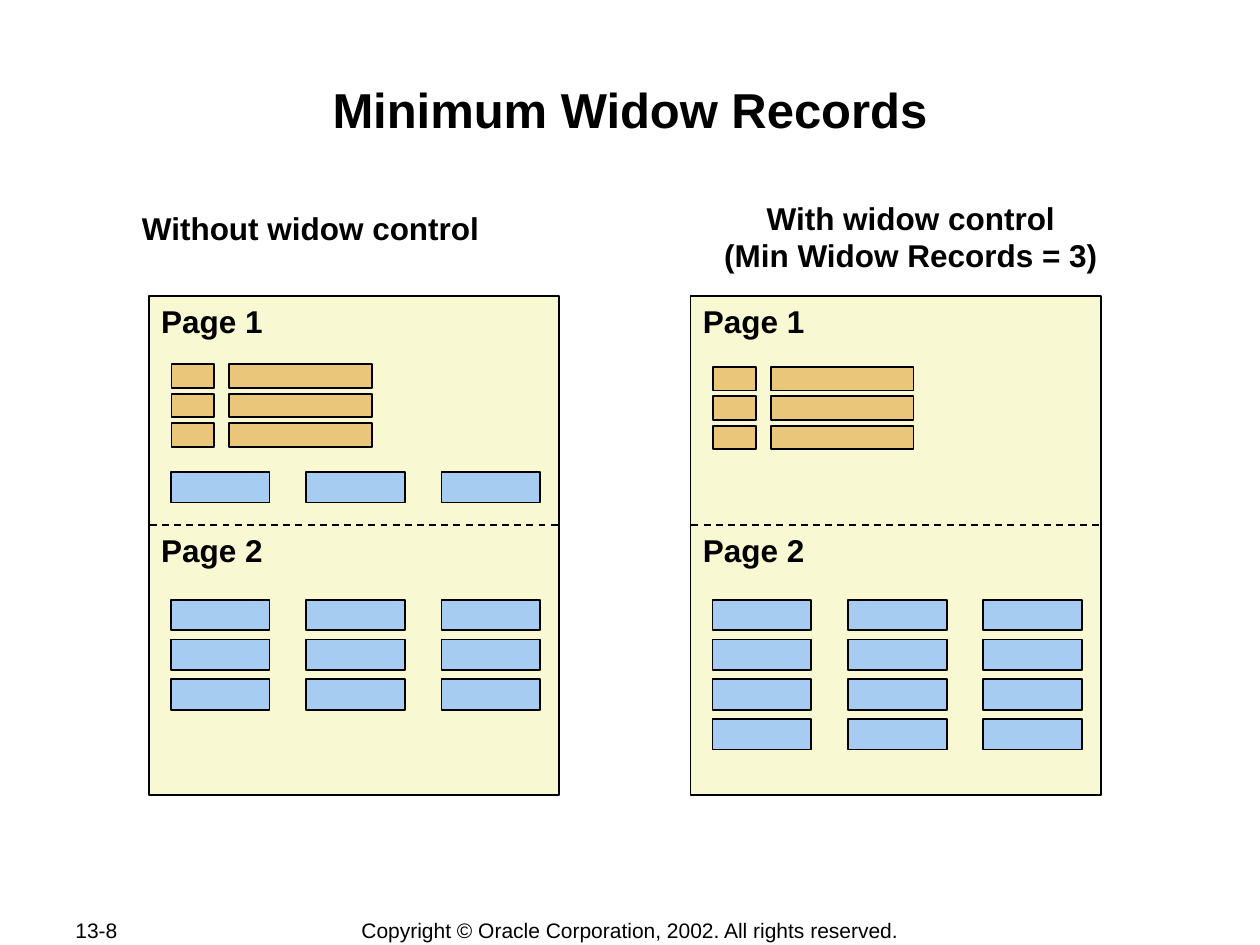
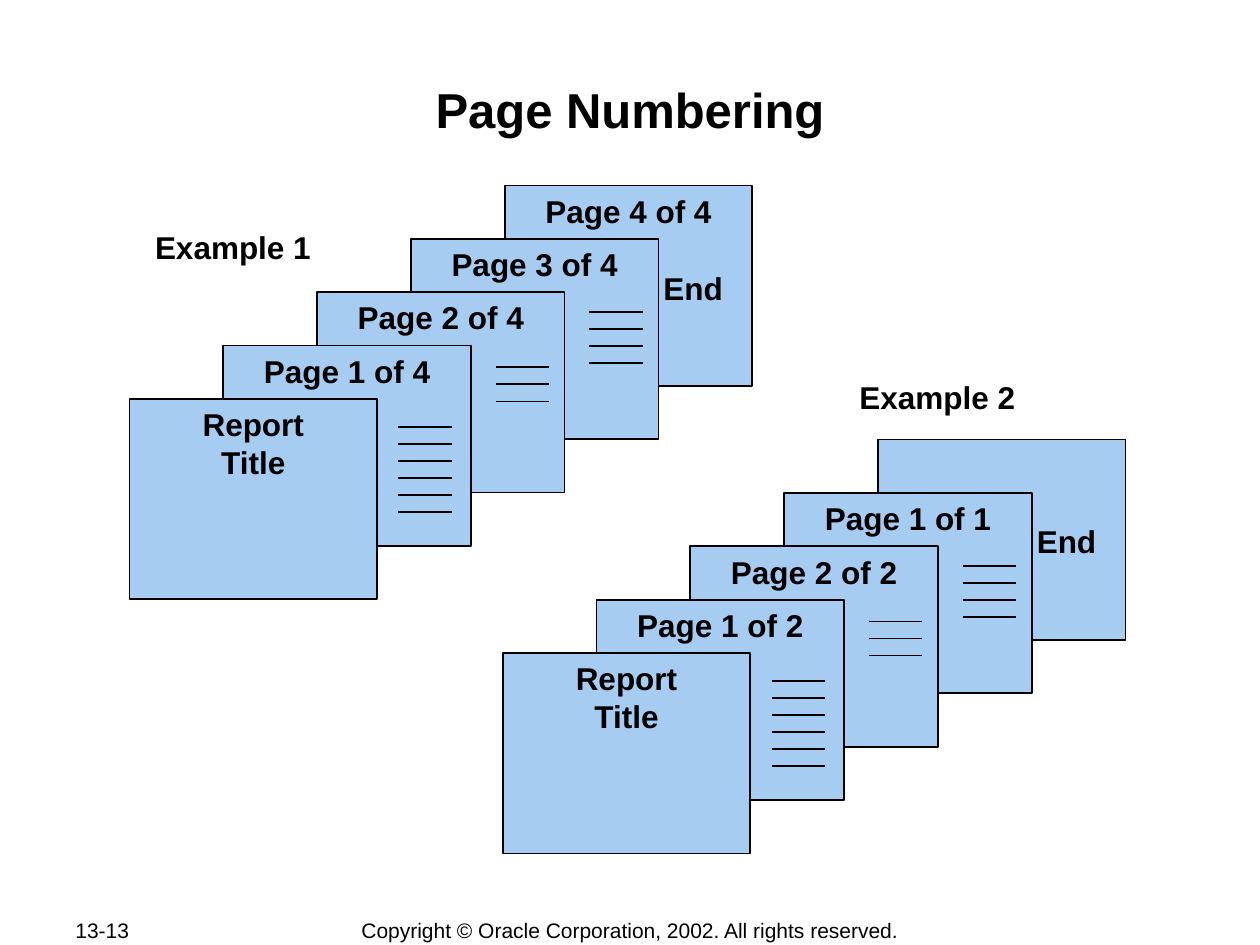
"""Builds two slides on report pagination: widow records and page numbering."""
import pptx
import pptx.dml.color
import pptx.enum.dml
import pptx.enum.shapes
import pptx.enum.text
import pptx.oxml
import pptx.util

Pt = pptx.util.Pt
ALIGN = pptx.enum.text.PP_ALIGN
ANCHOR = pptx.enum.text.MSO_ANCHOR
COLORS = {"ink": "000000", "paper": "F8F8D3", "header": "EAC67B", "record": "A7CCF1"}
FONT = "Arial"
BODY_SIZE = 18
PANEL = (234.5, 285)
PAGE = (141.5, 114.5)
PAGE_STEP = (53.6, -30.5)
PAGE_RULES = [(6, 100, 46.5), (3, 102, 42.9), (4, 102, 41.8)]
COPYRIGHT = "Copyright © Oracle Corporation, 2002. All rights reserved."


def rgb(name):
    return pptx.dml.color.RGBColor.from_string(COLORS[name])


def write(tf, lines, size=BODY_SIZE, bold=True, align=ALIGN.LEFT):
    for i, line in enumerate(lines):
        p = tf.paragraphs[0] if i == 0 else tf.add_paragraph()
        p.text = line
        p.alignment = align
        p.font.name = FONT
        p.font.size = Pt(size)
        p.font.bold = bold
        p.font.color.rgb = rgb("ink")


def add_text(s, box, lines, anchor=ANCHOR.TOP, **style):
    tf = s.shapes.add_textbox(*map(Pt, box)).text_frame
    tf.word_wrap = False
    tf.vertical_anchor = anchor
    write(tf, lines, **style)
    return tf


def add_rect(s, box, fill):
    sp = s.shapes.add_shape(pptx.enum.shapes.MSO_SHAPE.RECTANGLE, *map(Pt, box))
    sp.shadow.inherit = False
    sp.fill.solid()
    sp.fill.fore_color.rgb = rgb(fill)
    sp.line.color.rgb = rgb("ink")
    sp.line.width = Pt(1)
    sp.text_frame.word_wrap = True
    sp.text_frame.vertical_anchor = ANCHOR.TOP
    return sp


def add_rule(s, x, y, length, dashed=False):
    line = s.shapes.add_connector(
        pptx.enum.shapes.MSO_CONNECTOR.STRAIGHT, Pt(x), Pt(y), Pt(x + length), Pt(y))
    line.line.color.rgb = rgb("ink")
    line.line.width = Pt(1)
    if dashed:
        line.line.dash_style = pptx.enum.dml.MSO_LINE.DASH
    line._element.spPr.append(pptx.oxml.parse_xml(
        '<a:effectLst xmlns:a="http://schemas.openxmlformats.org/drawingml/2006/main"/>'))


def add_base(prs, title, number):
    s = prs.slides.add_slide(prs.slide_layouts[6])
    add_text(s, (36, 524.2, 76, 14.5), [number], ANCHOR.MIDDLE, size=12, bold=False)
    add_text(s, (198.5, 524.2, 323, 15), [COPYRIGHT], ANCHOR.MIDDLE,
             size=12, bold=False, align=ALIGN.CENTER)
    tf = add_text(s, (72, 45, 576, 66), [title], size=28, align=ALIGN.CENTER)
    tf.margin_top = tf.margin_bottom = Pt(0.7)
    return s


def add_records(s, x, y, rows):
    for row in range(rows):
        for col in range(3):
            add_rect(s, (x + 12.5 + 77.4 * col, y + 22.7 * row, 56.5, 17.5), "record")


def add_report(s, x, y, header_top, page1_rows, page2_rows):
    width, height = PANEL
    tf = add_rect(s, (x, y, width, height), "paper").text_frame
    write(tf, ["Page 1", "Page 2"])
    tf.paragraphs[1].space_before = Pt(109)
    for row in range(3):
        top = y + header_top + 16.8 * row
        add_rect(s, (x + 13, top, 24.5, 13.5), "header")
        add_rect(s, (x + 46, top, 81.5, 13.5), "header")
    add_records(s, x, y + 100.5, page1_rows)
    add_records(s, x, y + 173.5, page2_rows)
    add_rule(s, x + 0.5, y + 131, width - 1, dashed=True)


def add_end_page(s, box, heading):
    tf = add_rect(s, box, "record").text_frame
    write(tf, [heading, "End"] if heading else ["End"], align=ALIGN.CENTER)
    p = tf.paragraphs[-1]
    p._p.get_or_add_pPr().set("marL", str(Pt(74)))
    if heading:
        p.space_before = Pt(22.7)
    else:
        tf.margin_top = Pt(47)


def add_page_stack(s, x, y, headings, end_heading=None):
    def page_box(level):
        return (x + PAGE_STEP[0] * level, y + PAGE_STEP[1] * level, *PAGE)

    add_end_page(s, page_box(len(headings) + 1), end_heading)
    pages = list(zip(headings, PAGE_RULES))
    for level in range(len(pages), 0, -1):
        heading, (count, rule_left, rule_top) = pages[level - 1]
        box = page_box(level)
        write(add_rect(s, box, "record").text_frame, [heading], align=ALIGN.CENTER)
        for i in range(count):
            add_rule(s, box[0] + rule_left, box[1] + rule_top + 9.75 * i, 30.6)
    front = add_rect(s, page_box(0), "record")
    write(front.text_frame, ["Report", "Title"], align=ALIGN.CENTER)


def add_example_label(s, x, y, text):
    tf = add_text(s, (x, y, 103.5, 26), [text])
    tf.paragraphs[0].line_spacing = 0.85


def build_widow_slide(prs):
    s = add_base(prs, "Minimum Widow Records", "13-8")
    add_text(s, (74, 116, 207, 29), ["Without widow control"])
    add_text(s, (406.5, 110, 228, 50), ["With widow control", "(Min Widow Records = 3)"],
             align=ALIGN.CENTER)
    add_report(s, 85, 169.2, 39, page1_rows=1, page2_rows=3)
    add_report(s, 394.6, 169.2, 40.5, page1_rows=0, page2_rows=4)


def build_numbering_slide(prs):
    s = add_base(prs, "Page Numbering", "13-13")
    add_example_label(s, 81.5, 130.3, "Example 1")
    add_page_stack(s, 74, 228, ["Page 1 of 4", "Page 2 of 4", "Page 3 of 4"], "Page 4 of 4")
    add_example_label(s, 484, 215.5, "Example 2")
    add_page_stack(s, 287.3, 373.2, ["Page 1 of 2", "Page 2 of 2", "Page 1 of 1"])


def main():
    prs = pptx.Presentation()
    prs.slide_width, prs.slide_height = Pt(720), Pt(540)
    build_widow_slide(prs)
    build_numbering_slide(prs)
    prs.save("out.pptx")


if __name__ == "__main__":
    main()
